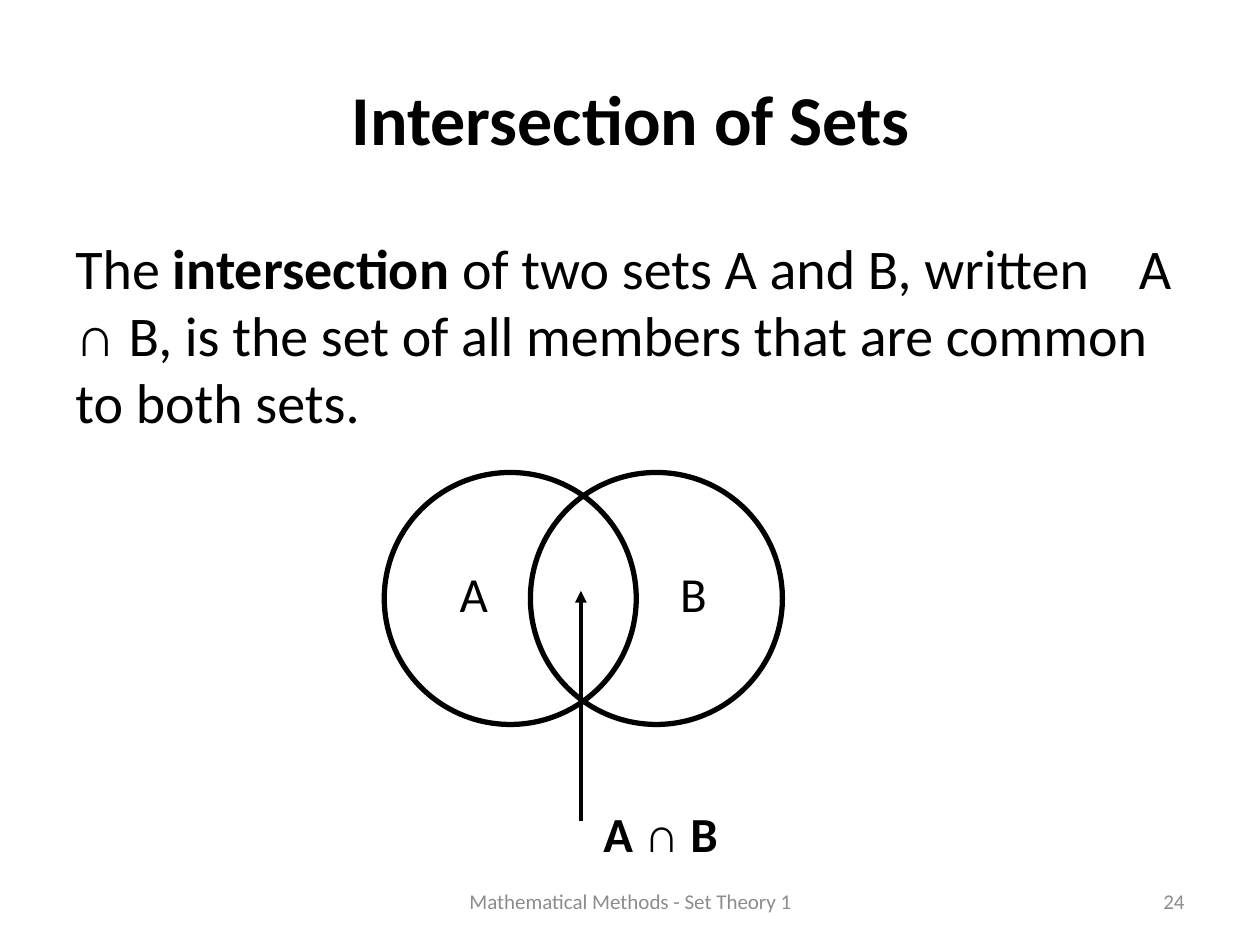
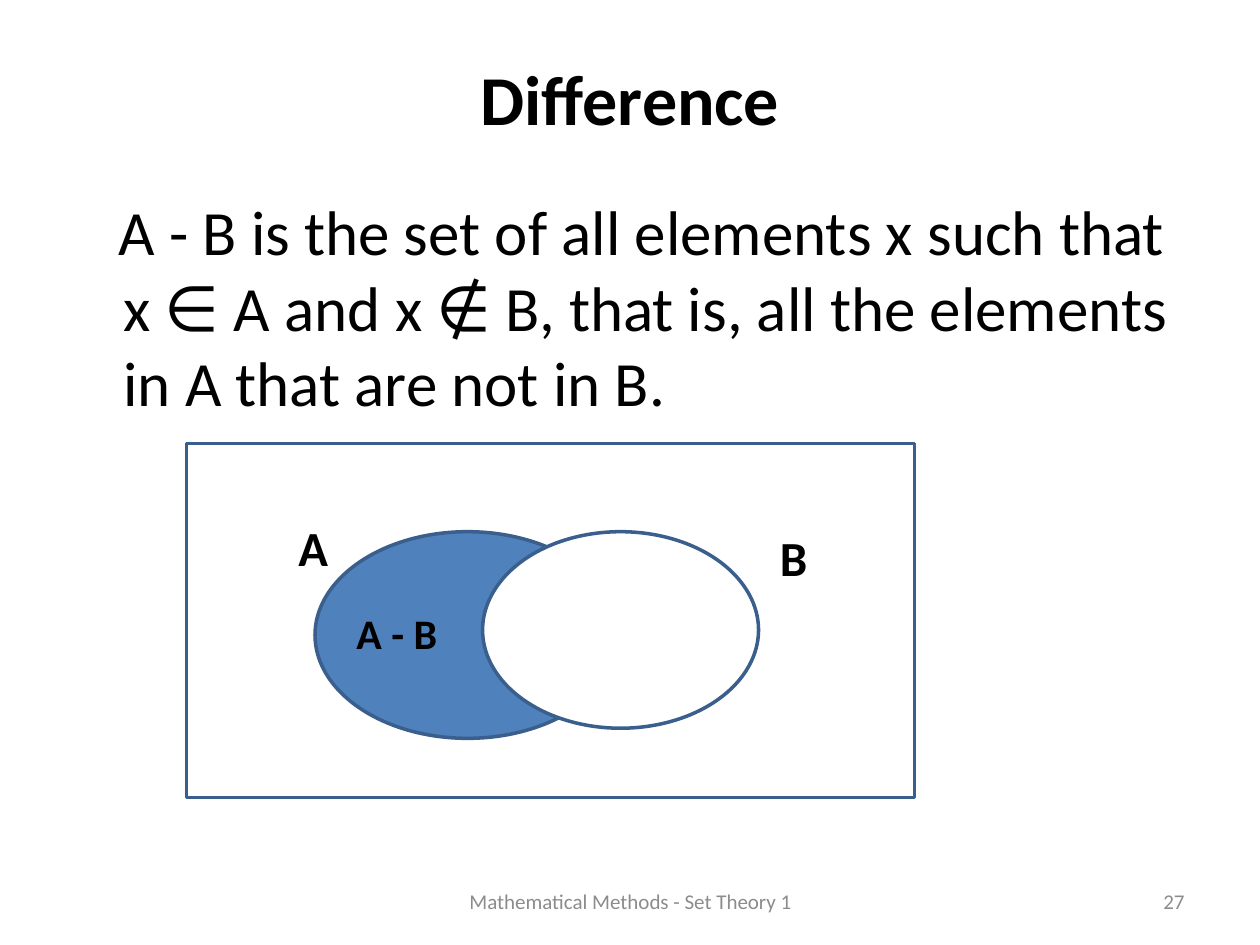
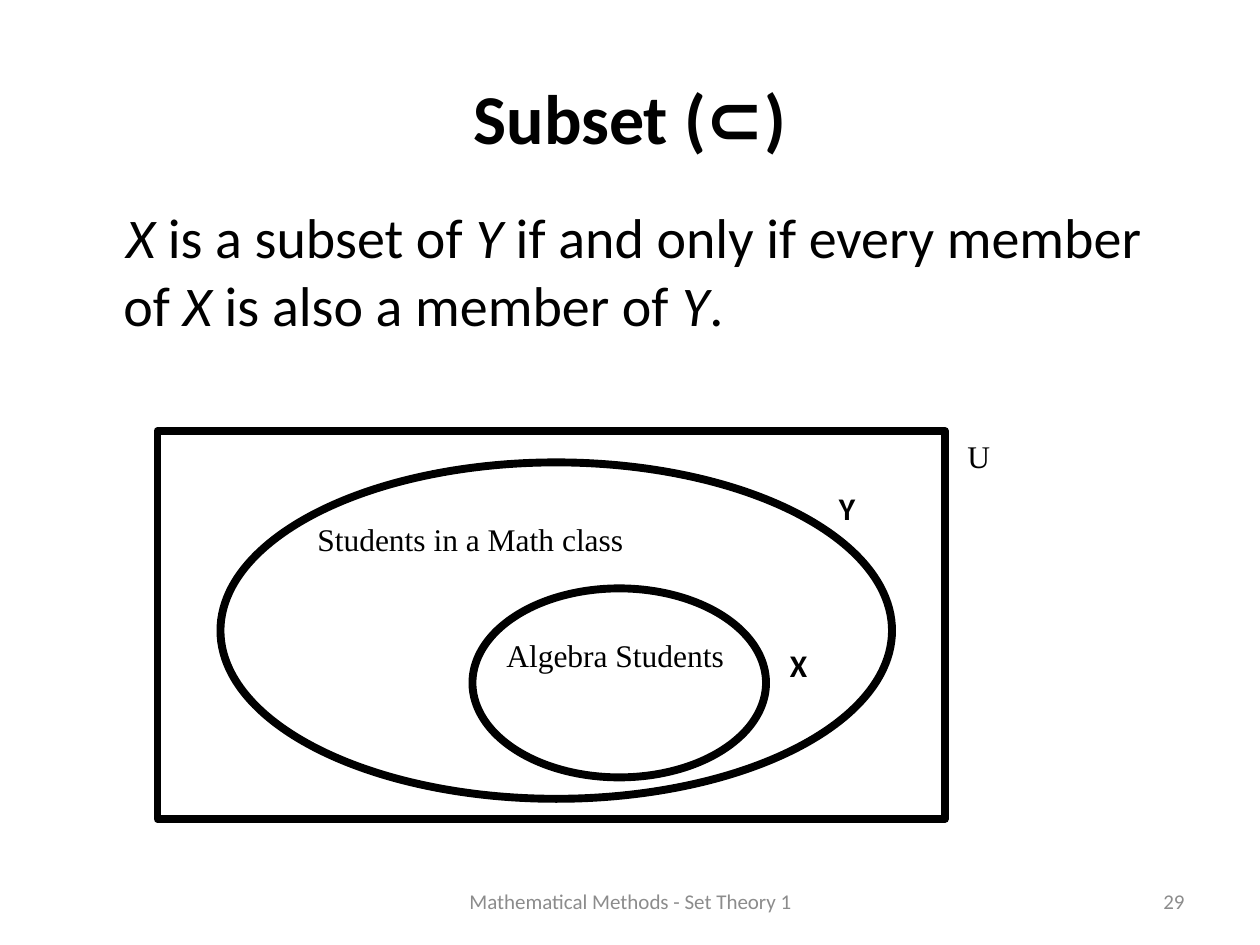
from lxml import etree
from pptx import Presentation
from pptx.dml.color import RGBColor
from pptx.enum.shapes import MSO_CONNECTOR as CONN, MSO_SHAPE as SHAPE
from pptx.enum.text import MSO_ANCHOR as ANCHOR, MSO_AUTO_SIZE as AUTOSIZE, PP_ALIGN as ALIGN
from pptx.oxml.ns import qn
from pptx.util import Inches, Pt

# Shared look
BLACK = RGBColor(0x00, 0x00, 0x00)
WHITE = RGBColor(0xFF, 0xFF, 0xFF)
GREY = RGBColor(0x8C, 0x8C, 0x8C)
BLUE = RGBColor(0x4F, 0x81, 0xBD)
DARK_BLUE = RGBColor(0x3A, 0x5F, 0x8C)
SANS, SERIF = "Calibri", "Times New Roman"
FOOTER = "Mathematical Methods - Set Theory 1"
BOLD = {"bold": True}
ITALIC = {"italic": True}
SYMBOL = {"name": SERIF}
TITLE_BODY, TITLE_ONLY = 1, 5


def place(sp, box):
    """Move a shape to box = (left, top, width, height) in inches."""
    for name, value in zip(("left", "top", "width", "height"), box):
        setattr(sp, name, Inches(value))


def write(p, parts, size, color=BLACK, **base):
    """Fill a paragraph from strings and (string, format) pairs."""
    for part in [parts] if isinstance(parts, str) else parts:
        text, extra = (part, {}) if isinstance(part, str) else part
        r = p.add_run()
        r.text = text
        fmt = {"name": SANS, "size": Pt(size), **base, **extra}
        for name, value in fmt.items():
            setattr(r.font, name, value)
        r.font.color.rgb = color


def add_text(slide, box, parts, size, color=BLACK, align=ALIGN.LEFT,
             anchor=ANCHOR.TOP, **fmt):
    tf = slide.shapes.add_textbox(*map(Inches, box)).text_frame
    tf.word_wrap = True
    tf.vertical_anchor = anchor
    p = tf.paragraphs[0]
    p.alignment = align
    write(p, parts, size, color, **fmt)
    return p


def add_outline(slide, kind, box, color, width, fill=None):
    sp = slide.shapes.add_shape(kind, *map(Inches, box))
    sp.shadow.inherit = False
    if fill is None:
        sp.fill.background()
    else:
        sp.fill.solid()
        sp.fill.fore_color.rgb = fill
    sp.line.color.rgb = color
    sp.line.width = Pt(width)


def add_arrow(slide, start, end, width):
    line = slide.shapes.add_connector(CONN.STRAIGHT, *map(Inches, start + end))
    line.line.color.rgb = BLACK
    line.line.width = Pt(width)
    etree.SubElement(line.line._get_or_add_ln(), qn("a:tailEnd"), type="triangle")
    etree.SubElement(line._element.spPr, qn("a:effectLst"))


def add_tab_stop(p, position):
    tabs = etree.SubElement(p._p.get_or_add_pPr(), qn("a:tabLst"))
    etree.SubElement(tabs, qn("a:tab"), pos=str(Inches(position)), algn="l")


def add_slide(prs, layout, title, title_box, number):
    """Start a slide with its title, footer and number."""
    slide = prs.slides.add_slide(prs.slide_layouts[layout])
    place(slide.shapes.title, title_box)
    tf = slide.shapes.title.text_frame
    tf.auto_size = AUTOSIZE.NONE
    tf.vertical_anchor = ANCHOR.MIDDLE
    write(tf.paragraphs[0], title, 40, **BOLD)
    for box, text, align in (((3.42, 6.95, 3.17, 0.4), FOOTER, ALIGN.CENTER),
                             ((7.17, 6.95, 2.33, 0.4), str(number), ALIGN.RIGHT)):
        add_text(slide, box, text, 12, GREY, align, ANCHOR.MIDDLE)
    return slide


def fill_body(slide, box, parts, size, indent):
    """Write an unbulleted definition in the body placeholder."""
    body = slide.placeholders[1]
    place(body, box)
    body.text_frame.auto_size = AUTOSIZE.NONE
    p = body.text_frame.paragraphs[0]
    pPr = p._p.get_or_add_pPr()
    pPr.set("marL", str(Inches(0.38)))
    pPr.set("indent", str(Inches(indent)))
    etree.SubElement(pPr, qn("a:buNone"))
    write(p, parts, size)


def intersection_slide(prs):
    slide = add_slide(prs, TITLE_ONLY, "Intersection of Sets", (1.25, 0.39, 7.51, 1.09), 24)
    definition = add_text(slide, (0.5, 1.8, 8.92, 1.72), [
        "The ", ("intersection", BOLD), " of two sets A and B, written\tA ",
        ("∩", SYMBOL), " B, is the set of all members that are common to both sets."], 32)
    add_tab_stop(definition, 8.44)

    # Two overlapping circles
    for label, left, label_left in (("A", 3.05, 3.55), ("B", 4.21, 5.3)):
        add_outline(slide, SHAPE.OVAL, (left, 3.75, 2, 2), BLACK, 3)
        add_text(slide, (label_left, 4.42, 0.58, 0.57), label, 28)
    add_arrow(slide, (4.61, 6.52), (4.61, 4.69), 2.25)
    add_text(slide, (4.69, 6.33, 1.41, 0.57), ["A ", ("∩", SYMBOL), " B"], 28, **BOLD)


def difference_slide(prs):
    slide = add_slide(prs, TITLE_BODY, "Difference", (0.5, 0.3, 9, 0.95), 27)
    fill_body(slide, (0.5, 1.48, 9, 5.22),
              "A - B is the set of all elements x such that x ∈ A and x ∉ B, "
              "that is, all the elements in A that are not in B.", 36, -0.04)

    # Universe, set A, and set B covering part of A
    for kind, box, fill in ((SHAPE.RECTANGLE, (1.48, 3.52, 5.78, 2.81), None),
                            (SHAPE.OVAL, (2.5, 4.22, 2.42, 1.64), BLUE),
                            (SHAPE.OVAL, (3.83, 4.22, 2.19, 1.56), WHITE)):
        add_outline(slide, kind, box, DARK_BLUE, 2, fill)
    for label, box, size in (("A", (2.27, 4.06, 0.47, 0.57), 28),
                             ("B", (6.09, 4.14, 0.39, 0.57), 28),
                             ("A - B", (2.73, 4.77, 1.02, 0.5), 24)):
        add_text(slide, box, label, size, **BOLD)


def subset_slide(prs):
    slide = add_slide(prs, TITLE_BODY, "Subset (⊂)", (0.5, 0.3, 9, 1.25), 29)
    X, Y = ("X", ITALIC), ("Y", ITALIC)
    fill_body(slide, (0.5, 1.56, 9, 5.14), [
        X, " is a subset of ", Y, " if and only if every member of ", X,
        " is also a member of ", Y, "."], 32, 0.02)

    # Universe, Y, and X inside Y
    for kind, box in ((SHAPE.RECTANGLE, (1.25, 3.42, 6.25, 3.08)),
                      (SHAPE.OVAL, (1.75, 3.67, 5.33, 2.67)),
                      (SHAPE.OVAL, (3.75, 4.67, 2.33, 1.5))):
        add_outline(slide, kind, box, BLACK, 4.5)
    for label, box, fmt in (("U", (7.58, 3.42, 0.75, 0.5), SYMBOL),
                            ("Students in a Math class", (2.42, 4.08, 4.08, 0.5), SYMBOL),
                            ("Algebra Students", (3.92, 5, 2.25, 0.4), SYMBOL),
                            ("X", (6.17, 5.08, 0.31, 0.4), BOLD),
                            ("Y", (6.56, 3.83, 0.47, 0.4), BOLD)):
        add_text(slide, box, [(label, fmt)], 18)


def main():
    prs = Presentation()
    prs.slide_width, prs.slide_height = Inches(10), Inches(7.5)
    intersection_slide(prs)
    difference_slide(prs)
    subset_slide(prs)
    prs.save("out.pptx")


if __name__ == "__main__":
    main()
